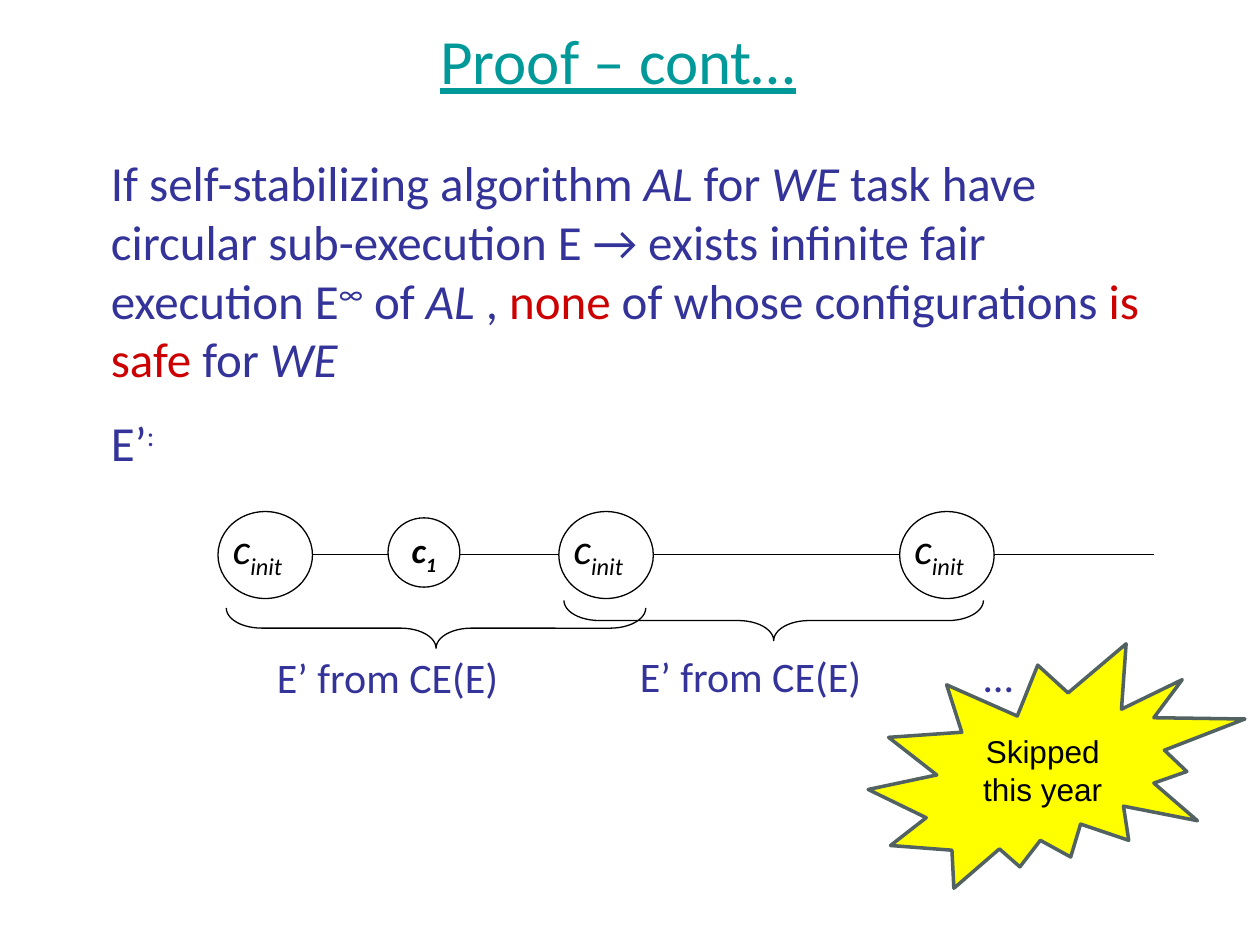
"""Builds the proof slide with its chain of configurations."""
from dataclasses import dataclass

from lxml import etree
from pptx import Presentation
from pptx.dml.color import RGBColor
from pptx.enum.shapes import MSO_CONNECTOR, MSO_SHAPE
from pptx.enum.text import MSO_ANCHOR, MSO_AUTO_SIZE, PP_ALIGN
from pptx.oxml.ns import qn
from pptx.util import Inches, Pt

OVAL, BRACE, SEAL = MSO_SHAPE.OVAL, MSO_SHAPE.RIGHT_BRACE, MSO_SHAPE.EXPLOSION2
STRAIGHT = MSO_CONNECTOR.STRAIGHT
CENTER, LEFT = PP_ALIGN.CENTER, PP_ALIGN.LEFT
TOP, MIDDLE = MSO_ANCHOR.TOP, MSO_ANCHOR.MIDDLE
NO_FIT = MSO_AUTO_SIZE.NONE


@dataclass(frozen=True)
class Theme:
    font: str = "Calibri"
    note_font: str = "Arial"
    title: str = "009999"
    text: str = "333399"
    accent: str = "CC0000"
    ink: str = "000000"
    paper: str = "FFFFFF"
    seal: str = "FFFF00"
    seal_line: str = "526263"
    title_size: int = 36
    body_size: int = 28
    label_size: int = 24
    node_size: int = 20
    note_size: int = 18


theme = Theme()


def add_run(p, text, size, color, italic=False, bold=False, base=0, font=theme.font):
    r = p.add_run()
    r.text = text
    r.font.name, r.font.size = font, Pt(size)
    r.font.color.rgb = RGBColor.from_string(color)
    r.font.italic, r.font.bold = italic, bold
    if base:
        r.font._element.set("baseline", str(base * 1000))
    return r


def add_outline(kind, x, y, w, h, fill=None, line=theme.ink, width=0.75):
    sp = s.shapes.add_shape(kind, Inches(x), Inches(y), Inches(w), Inches(h))
    sp.shadow.inherit = False
    if fill:
        sp.fill.solid()
        sp.fill.fore_color.rgb = RGBColor.from_string(fill)
    else:
        sp.fill.background()
    sp.line.color.rgb = RGBColor.from_string(line)
    sp.line.width = Pt(width)
    return sp


prs = Presentation()
prs.slide_width, prs.slide_height = Inches(10), Inches(7.5)
s = prs.slides.add_slide(prs.slide_layouts[1])

title, body = s.shapes.title, s.placeholders[1]
title.left, title.top, title.width, title.height = Inches(0.08), Inches(0), Inches(9.65), Inches(0.94)
tf = title.text_frame
tf.auto_size, tf.vertical_anchor = NO_FIT, MIDDLE
p = tf.paragraphs[0]
p.alignment = CENTER
add_run(p, "Proof – cont…", theme.title_size, theme.title).font.underline = True

body.left, body.top, body.width, body.height = Inches(0.78), Inches(1.16), Inches(8.62), Inches(2.67)
tf = body.text_frame
tf.auto_size, tf.vertical_anchor = NO_FIT, TOP
claim = [
    ("If self-stabilizing algorithm ", theme.text, False, 0),
    ("AL", theme.text, True, 0),
    (" for ", theme.text, False, 0),
    ("WE", theme.text, True, 0),
    (" task have circular sub-execution E → exists infinite fair execution E", theme.text, False, 0),
    ("∞", theme.text, False, 30),
    (" of ", theme.text, False, 0),
    ("AL ", theme.text, True, 0),
    (", ", theme.text, False, 0),
    ("none", theme.accent, False, 0),
    (" of whose configurations ", theme.text, False, 0),
    ("is safe", theme.accent, False, 0),
    (" for ", theme.text, False, 0),
    ("WE", theme.text, True, 0),
]
execution = [("E’", theme.text, False, 0), (":", theme.text, False, 30)]
for i, runs in enumerate((claim, execution)):
    p = tf.add_paragraph() if i else tf.paragraphs[0]
    p.alignment = LEFT
    p.space_before = Pt(theme.body_size / 2 if i else 0)
    pPr = p._p.get_or_add_pPr()
    pPr.set("marL", "0")
    pPr.set("indent", "0")
    etree.SubElement(pPr, qn("a:buNone"))
    for text, color, italic, base in runs:
        add_run(p, text, theme.body_size, color, italic, base=base)

axis_y = 4.4
for x1, x2 in ((2.48, 4.44), (5.19, 7.14), (7.89, 9.16)):
    link = s.shapes.add_connector(STRAIGHT, Inches(x1), Inches(axis_y), Inches(x2), Inches(axis_y))
    link.line.color.rgb = RGBColor.from_string(theme.ink)
    link.line.width = Pt(0.75)
    etree.SubElement(link._element.spPr, qn("a:effectLst"))

init_runs = [("c", 0), ("init", -25)]
labels = [(1.75 + 2.705 * i, 4.1, 0.8, init_runs, theme.ink, True) for i in range(3)]
for x, y, w, text in ((2.1, 5.12, 2.43, "E’ from CE(E)"), (4.98, 5.11, 2.43, "E’ from CE(E)"), (7.71, 5.11, 0.6, "…")):
    labels.append((x, y, w, [(text, 0)], theme.text, False))

for i in range(3):
    add_outline(OVAL, 1.73 + 2.705 * i, 4.06, 0.75, 0.69)
for x, y, w, runs, color, italic in labels:
    tf = s.shapes.add_textbox(Inches(x), Inches(y), Inches(w), Inches(0.5)).text_frame
    tf.word_wrap = True
    for text, base in runs:
        add_run(tf.paragraphs[0], text, theme.label_size, color, italic, base=base)

for x, y in ((3.3, 3.32), (5.98, 3.26)):
    brace = add_outline(BRACE, x, y, 0.32, 3.33)
    brace.rotation = 90
    brace.adjustments[0] = 0.88

node = add_outline(OVAL, 3.08, 4.11, 0.57, 0.55, theme.paper)
tf = node.text_frame
tf.word_wrap, tf.vertical_anchor = False, MIDDLE
p = tf.paragraphs[0]
p.alignment = CENTER
for text, base in (("c", 0), ("1", -25)):
    add_run(p, text, theme.node_size, theme.ink, True, True, base)

seal = add_outline(SEAL, 6.89, 5.11, 2.99, 1.94, theme.seal, theme.seal_line, 2)
tf = seal.text_frame
tf.word_wrap, tf.vertical_anchor = True, MIDDLE
p = tf.paragraphs[0]
p.alignment = CENTER
add_run(p, "Skipped this year", theme.note_size, theme.ink, font=theme.note_font)

prs.save("out.pptx")
